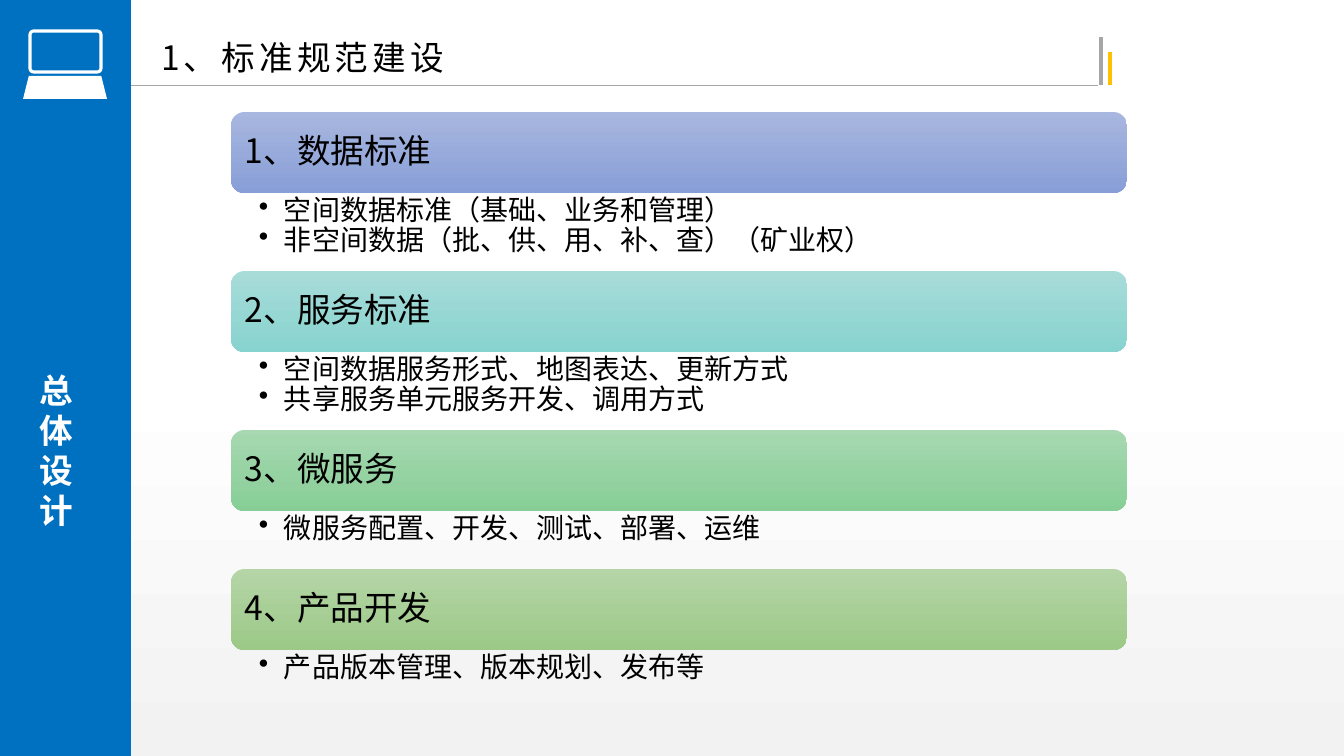
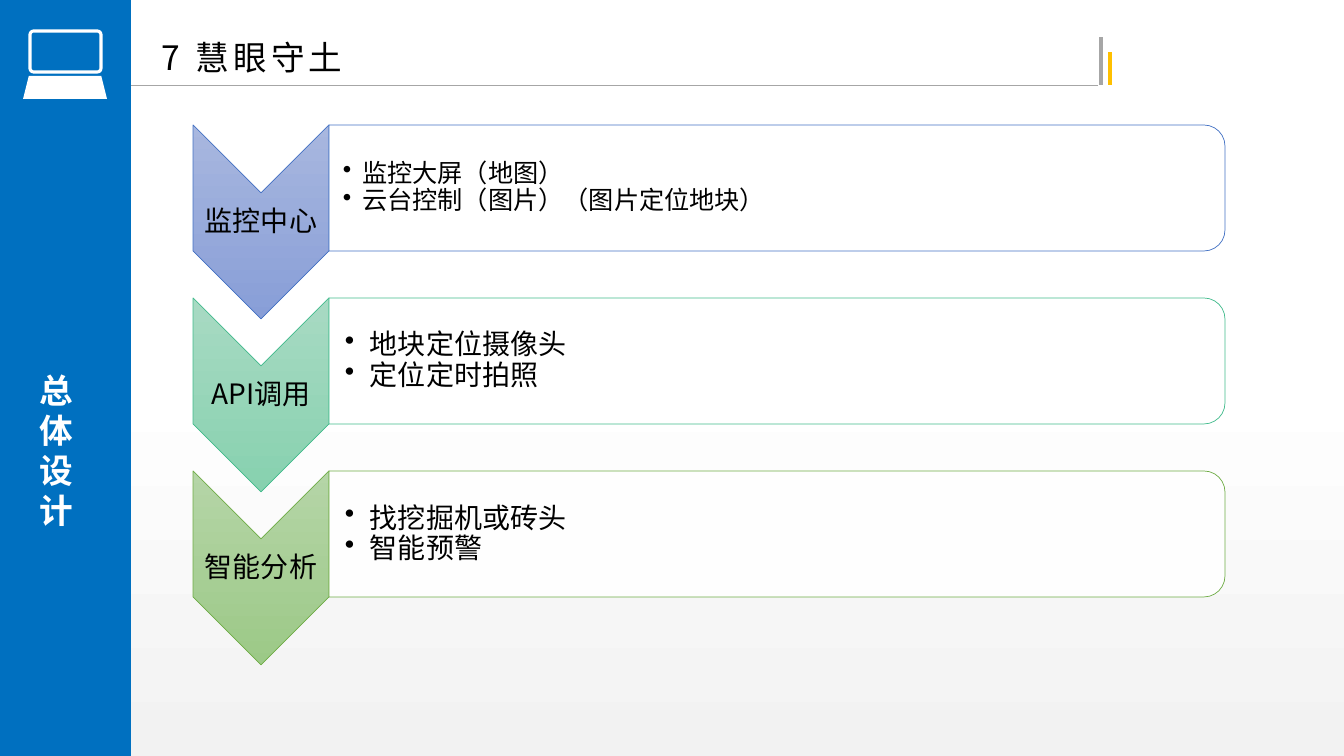
from lxml.etree import SubElement
from pptx import Presentation
from pptx.dml.color import RGBColor
from pptx.enum.shapes import MSO_CONNECTOR, MSO_SHAPE
from pptx.enum.text import MSO_ANCHOR, PP_ALIGN
from pptx.oxml.ns import qn
from pptx.util import Pt

PX = 914400 / 100.8
FONT = "Noto Sans CJK SC"
WHITE = RGBColor(0xFF, 0xFF, 0xFF)
BLACK = RGBColor(0x00, 0x00, 0x00)
PALE_GRAY = RGBColor(0xF2, 0xF2, 0xF2)
GRAY = RGBColor(0xA6, 0xA6, 0xA6)
AMBER = RGBColor(0xFF, 0xC0, 0x00)
BLUE = RGBColor(0x00, 0x70, 0xC0)
INDIGO_LINE = RGBColor(0x44, 0x72, 0xC4)
MINT_LINE = RGBColor(0x43, 0xBB, 0x8D)
OLIVE_LINE = RGBColor(0x70, 0xAD, 0x47)
INDIGO = (RGBColor(0xA8, 0xB7, 0xDF), RGBColor(0x88, 0x9E, 0xD7))
TEAL = (RGBColor(0xA8, 0xDC, 0xD9), RGBColor(0x87, 0xD3, 0xCF))
GREEN = (RGBColor(0xA7, 0xD8, 0xB1), RGBColor(0x87, 0xCE, 0x96))
MINT = (RGBColor(0xA8, 0xDA, 0xC3), RGBColor(0x87, 0xD1, 0xAF))
OLIVE = (RGBColor(0xB5, 0xD5, 0xA7), RGBColor(0x9C, 0xC9, 0x87))


def px(*lengths):
    return [round(length * PX) for length in lengths]


def write(frame, *lines, size=24, color=BLACK, bold=False, align=PP_ALIGN.LEFT,
          anchor=MSO_ANCHOR.MIDDLE, insets=(10, 5, 10, 5), bullet=0, leading=0.9, tracking=0):
    frame.word_wrap = True
    frame.vertical_anchor = anchor
    frame.margin_left, frame.margin_top, frame.margin_right, frame.margin_bottom = px(*insets)
    for index, line in enumerate(lines):
        para = frame.add_paragraph() if index else frame.paragraphs[0]
        if bullet:
            properties = para._p.get_or_add_pPr()
            indent, = px(bullet)
            properties.set("marL", str(indent))
            properties.set("indent", str(-indent))
            SubElement(properties, qn("a:buChar")).set("char", "•")
        para.alignment = align
        para.line_spacing = leading
        span = para.add_run()
        span.text = line
        span.font.size = Pt(size)
        span.font.bold = bold
        span.font.name = FONT
        span.font.color.rgb = color
        SubElement(span._r.rPr, qn("a:ea")).set("typeface", FONT)
        if tracking:
            span._r.rPr.set("spc", str(tracking * 100))


def draw(page, kind, left, top, width, height, fill, line=None, weight=0.5, turned=False):
    if turned:
        left, top = left + (width - height) / 2, top + (height - width) / 2
        width, height = height, width
    shape = page.shapes.add_shape(kind, *px(left, top, width, height))
    shape.shadow.inherit = False
    shape.rotation = 90 if turned else 0
    if isinstance(fill, RGBColor):
        shape.fill.solid()
        shape.fill.fore_color.rgb = fill
    else:
        shape.fill.gradient()
        shape.fill.gradient_angle = 0 if turned else 270
        for stop, color, position in zip(shape.fill.gradient_stops, fill, (0, 1)):
            stop.color.rgb = color
            stop.position = position
    if line is None:
        shape.line.fill.background()
    else:
        shape.line.color.rgb = line
        shape.line.width = Pt(weight)
    return shape


deck = Presentation()
deck.slide_width, deck.slide_height = px(1344, 756)

backdrop = deck.slide_master.background.fill
backdrop.gradient()
backdrop.gradient_angle = 270
for stop, color, position in zip(backdrop.gradient_stops, (WHITE, PALE_GRAY), (0.5, 1)):
    stop.color.rgb = color
    stop.position = position

RULES = [
    (0, 85, 1098, 85, GRAY, 0.5),
    (1101, 85, 1101, 37, GRAY, 3),
    (1110, 85, 1110, 52, AMBER, 3),
]

pages = []
for heading in ("1、标准规范建设", "7 慧眼守土"):
    page = deck.slides.add_slide(deck.slide_layouts[5])
    pages.append(page)
    for x1, y1, x2, y2, color, weight in RULES:
        rule = page.shapes.add_connector(MSO_CONNECTOR.STRAIGHT, *px(x1, y1, x2, y2))
        rule.line.color.rgb = color
        rule.line.width = Pt(weight)
        SubElement(rule._element.spPr, qn("a:effectLst"))
    draw(page, MSO_SHAPE.RECTANGLE, 0, 0, 131, 756, BLUE)
    section = page.shapes.add_textbox(*px(29, 144, 73, 612)).text_frame
    write(section, "总体设计", color=WHITE, bold=True, leading=1.0)
    section._txBody.bodyPr.set("vert", "wordArtVertRtl")
    screen = draw(page, MSO_SHAPE.ROUNDED_RECTANGLE, 30, 31, 71, 41, BLUE, WHITE, 2.25)
    screen.adjustments[0] = 0.09
    draw(page, MSO_SHAPE.TRAPEZOID, 23, 76, 84, 23, WHITE)
    title = page.shapes.title
    title.left, title.top, title.width, title.height = px(151, 28, 688, 55)
    write(title.text_frame, heading, anchor=MSO_ANCHOR.BOTTOM, tracking=3)

standards_page, monitoring_page = pages

STANDARDS = [
    ("1、数据标准", INDIGO, ["空间数据标准（基础、业务和管理）", "非空间数据（批、供、用、补、查）（矿业权）"]),
    ("2、服务标准", TEAL, ["空间数据服务形式、地图表达、更新方式", "共享服务单元服务开发、调用方式"]),
    ("3、微服务", GREEN, ["微服务配置、开发、测试、部署、运维"]),
    ("4、产品开发", OLIVE, ["产品版本管理、版本规划、发布等"]),
]
top = 112
for name, colors, details in STANDARDS:
    band = draw(standards_page, MSO_SHAPE.ROUNDED_RECTANGLE, 231, top, 896, 81, colors)
    write(band.text_frame, name, insets=(10, 10, 10, 10))
    top += 81
    height = 78 if len(details) > 1 else 58
    box = standards_page.shapes.add_textbox(*px(231, top, 896, height))
    write(box.text_frame, *details, size=20, anchor=MSO_ANCHOR.TOP, insets=(28, 3, 16, 3), bullet=25)
    top += height

STEPS = [
    ("监控中心", INDIGO, INDIGO_LINE, 18, 14, 19, ["监控大屏（地图）", "云台控制（图片）（图片定位地块）"]),
    ("API调用", MINT, MINT_LINE, 20, 16, 25, ["地块定位摄像头", "定位定时拍照"]),
    ("智能分析", OLIVE, OLIVE_LINE, 20, 16, 25, ["找挖掘机或砖头", "智能预警"]),
]
for index, (name, colors, line, size, inset, indent, details) in enumerate(STEPS):
    top = 125 + 173 * index
    draw(monitoring_page, MSO_SHAPE.CHEVRON, 193, top, 136, 194, colors, line, turned=True)
    label = monitoring_page.shapes.add_textbox(*px(193, top + 68, 136, 58))
    write(label.text_frame, name, size=20, align=PP_ALIGN.CENTER, insets=(1, 1, 1, 1))
    panel = draw(monitoring_page, MSO_SHAPE.ROUND_2_SAME_RECTANGLE, 329, top, 896, 126, WHITE, line, turned=True)
    tint = panel._element.spPr.find(qn("a:solidFill")).find(qn("a:srgbClr"))
    SubElement(tint, qn("a:alpha")).set("val", "90000")
    box = monitoring_page.shapes.add_textbox(*px(329, top + 6, 890, 114))
    write(box.text_frame, *details, size=size, insets=(inset, 1, 1, 1), bullet=indent)

deck.save("out.pptx")
